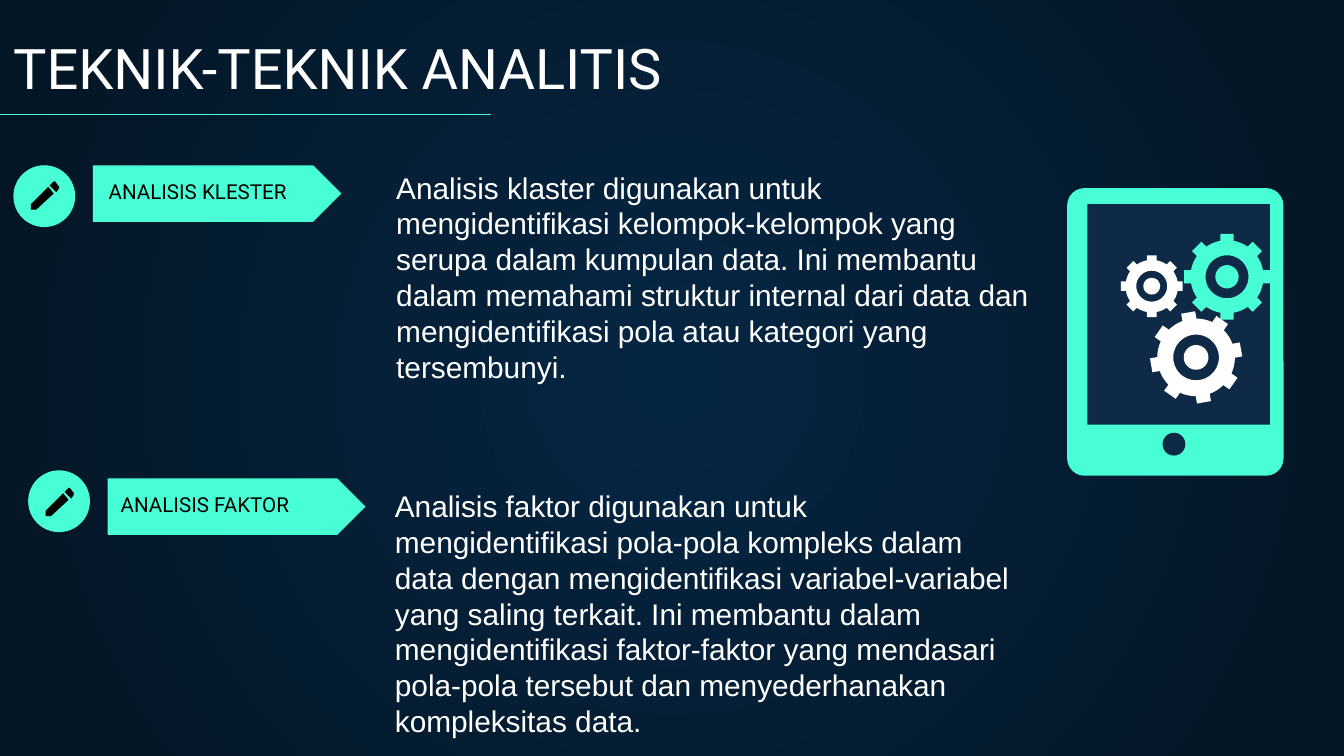
import math
from lxml import etree
from pptx import Presentation
from pptx import util as u
from pptx.dml.color import RGBColor
from pptx.enum import shapes, text
from pptx.oxml.ns import qn

MINT, NAVY, WHITE, BLACK = "48FFD5", "0E2A47", "FFFFFF", "000000"
KIND = shapes.MSO_SHAPE
I = u.Inches

# Slide in the ratio 16:9
deck = Presentation()
deck.slide_width, deck.slide_height = I(10), I(10 * 9 / 16)
slide = deck.slides.add_slide(deck.slide_layouts[6])
draw = slide.shapes


def color(code):
    return RGBColor.from_string(code)


def write(words, box, size=16, font="Arial", ink=WHITE, low=False):
    item = draw.add_textbox(*map(I, box))
    frame = item.text_frame
    frame.word_wrap = True
    if low:
        frame.vertical_anchor = text.MSO_ANCHOR.BOTTOM
        frame.margin_top = frame.margin_bottom = I(0.1)
    run = frame.paragraphs[0].add_run()
    run.text = words
    run.font.size, run.font.name = u.Pt(size), font
    run.font.color.rgb = color(ink)


# Background: radial gradient from the centre
fill = slide.background.fill
fill.gradient()
for stop, code in zip(fill.gradient_stops, ("052643", "041523")):
    stop.color.rgb = color(code)
grad = slide.background._cSld.find(".//" + qn("a:gradFill"))
grad.remove(grad.find(qn("a:lin")))
way = etree.SubElement(grad, qn("a:path"), path="circle")
etree.SubElement(way, qn("a:fillToRect"), l="50000", t="50000", r="50000", b="50000")

# Title and rule
write("TEKNIK-TEKNIK ANALITIS", (0, 0.13, 6.08, 0.72), size=30, font="Roboto", low=True)
rule = draw.add_connector(shapes.MSO_CONNECTOR.STRAIGHT, 0, I(0.85), I(3.65), I(0.85))
rule.line.color.rgb = color(MINT)
rule.line.width = u.Pt(0.75)
etree.SubElement(rule._element.spPr, qn("a:effectLst"))

# Plain shapes: arrow tags, discs and the tablet
plain = [
    (KIND.PENTAGON, (0.69, 1.23, 1.85, 0.42), MINT),
    (KIND.PENTAGON, (0.8, 3.56, 1.92, 0.42), MINT),
    (KIND.OVAL, (0.1, 1.23, 0.46, 0.46), MINT),
    (KIND.OVAL, (0.21, 3.5, 0.46, 0.46), MINT),
    (KIND.ROUNDED_RECTANGLE, (7.94, 1.4, 1.61, 2.14), MINT),
    (KIND.RECTANGLE, (8.09, 1.52, 1.36, 1.64), NAVY),
    (KIND.OVAL, (8.65, 3.22, 0.17, 0.17), NAVY),
]
made = []
for kind, box, code in plain:
    item = draw.add_shape(kind, *map(I, box))
    if kind == KIND.ROUNDED_RECTANGLE:
        item.adjustments[0] = 0.08
    made.append((item, code))

# Outlines: each is a list of closed loops in inches, with a colour
forms = []

# Pencils, one on each disc
tip = [(0.17, 0), (0.14, 0.03), (0.19, 0.08), (0.21, 0.05), (0.21, 0.04), (0.18, 0)]
stem = [(0.13, 0.04), (0, 0.17), (0, 0.21), (0.04, 0.21), (0.17, 0.09)]
for left, top in ((0.23, 1.35), (0.34, 3.63)):
    forms.append(([[(left + x, top + y) for x, y in loop] for loop in (tip, stem)], BLACK))

# Gears: eight teeth, a ring hole and a hub, all in proportion to the radius
edge = math.degrees(math.asin(0.155 / 0.85))
face = math.degrees(math.atan(0.155))
tooth = [(0.85, -edge), (1.01, -face), (1.01, face), (0.85, edge),
         (0.85, 16.5), (0.85, 22.5), (0.85, 28.5)]
rim = [(r, a + 45 * n) for n in range(8) for r, a in tooth]
rings = [[(r, 7.5 * n) for n in range(48)] for r in (0.5, 0.27)]
for cx, cy, size, turn, code in ((9.13, 2.06, 0.32, 0, MINT),
                                 (8.57, 2.13, 0.23, 0, WHITE),
                                 (8.9, 2.66, 0.34, -10, WHITE)):
    loops = [[(cx + size * r * math.sin(math.radians(a + turn)),
               cy - size * r * math.cos(math.radians(a + turn))) for r, a in loop]
             for loop in [rim] + rings]
    forms.append((loops, code))

for loops, code in forms:
    pen = draw.build_freeform(*map(I, loops[0][0]))
    for n, loop in enumerate(loops):
        if n:
            pen.move_to(*map(I, loop[0]))
        pen.add_line_segments([(I(x), I(y)) for x, y in loop[1:]], close=True)
    made.append((pen.convert_to_shape(), code))

for item, code in made:
    item.shadow.inherit = False
    item.fill.solid()
    item.fill.fore_color.rgb = color(code)
    item.line.fill.background()

# Labels and explanations
for label, spot, words, box in (
    ("ANALISIS KLESTER", (0.71, 1.4),
     "Analisis klaster digunakan untuk mengidentifikasi kelompok-kelompok yang serupa "
     "dalam kumpulan data. Ini membantu dalam memahami struktur internal dari data dan "
     "mengidentifikasi pola atau kategori yang tersembunyi.",
     (2.85, 1.21, 4.97, 1.99)),
    ("ANALISIS FAKTOR", (0.8, 3.73),
     "Analisis faktor digunakan untuk mengidentifikasi pola-pola kompleks dalam data "
     "dengan mengidentifikasi variabel-variabel yang saling terkait. Ini membantu dalam "
     "mengidentifikasi faktor-faktor yang mendasari pola-pola tersebut dan "
     "menyederhanakan kompleksitas data.",
     (2.84, 3.58, 4.84, 1.99)),
):
    write(label, (*spot, 2.27, 0.21), size=11, font="Roboto", ink=BLACK, low=True)
    write(words, box)

deck.save("out.pptx")
